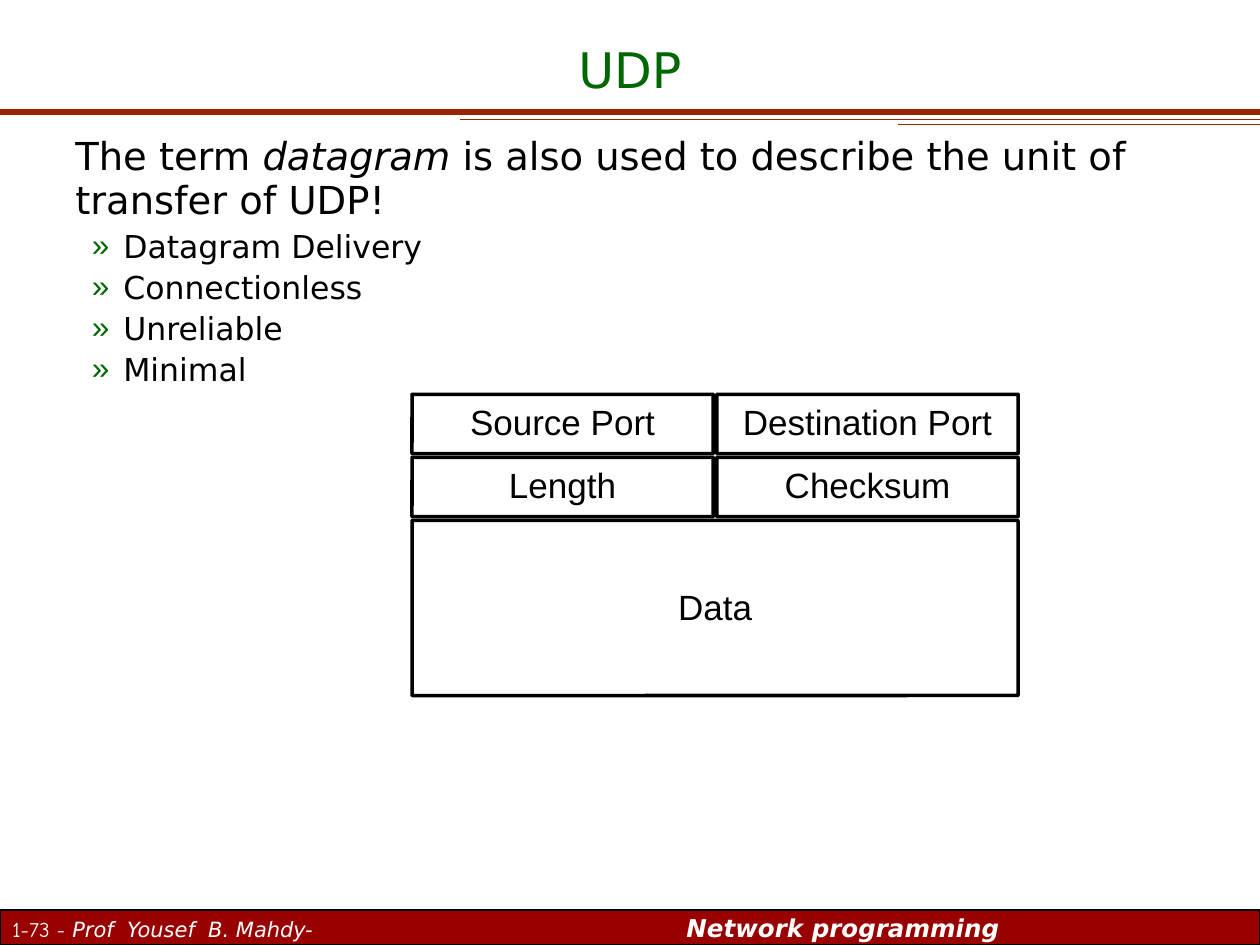
"""Builds a slide on UDP with its datagram layout."""
from lxml import etree
from pptx import Presentation, util as u
from pptx.dml.color import RGBColor
from pptx.enum import shapes, text
from pptx.oxml.ns import qn

WIDTH, HEIGHT = 10, 7.5
SANS = "DejaVu Sans"
TITLE = "UDP"
INTRO = [("The term ", False), ("datagram ", True),
         ("is also used to describe the unit of transfer of UDP!", False)]
TRAITS = ["Datagram Delivery", "Connectionless", "Unreliable", "Minimal"]
RULES = [(0, 0.89, 3), (3.65, 0.95, 0.75), (7.13, 0.99, 0.75)]
FOOTER = [("1-73", dict(name="Comic Neue", size=u.Pt(12))),
          (" - ", dict(name="Comic Neue", size=u.Pt(12), italic=True)),
          ("Prof  Yousef  B. Mahdy-\t", dict(name=SANS, size=u.Pt(12), italic=True)),
          ("Network programming", dict(name=SANS, size=u.Pt(14), italic=True, bold=True))]
FIELDS = [("Source Port", 0, 0, 1), ("Destination Port", 1, 0, 1),
          ("Length", 0, 1, 1), ("Checksum", 1, 1, 1), ("Data", 0, 2, 2)]
GRID_LEFT, GRID_TOP, GAP = 3.27, 3.13, 0.03
CELL_WIDTH, CELL_HEIGHT, DATA_HEIGHT = 2.39, 0.47, 1.39


def color(value):
    return RGBColor.from_string(value)


def add_span(para, words, tint, **formats):
    span = para.add_run()
    span.text = words
    span.font.color.rgb = color(tint)
    for key, value in formats.items():
        setattr(span.font, key, value)


def add_box(page, place, fill=None, line=1, kind=shapes.MSO_SHAPE.RECTANGLE,
            anchor=text.MSO_ANCHOR.MIDDLE):
    area = [u.Inches(value) for value in place]
    if fill:
        box = page.shapes.add_shape(kind, *area)
        box.shadow.inherit = False
        box.fill.solid()
        box.fill.fore_color.rgb = color(fill)
        box.line.color.rgb = color("000000")
        box.line.width = u.Pt(line)
    else:
        box = page.shapes.add_textbox(*area)
    box.text_frame.word_wrap = True
    box.text_frame.vertical_anchor = anchor
    return box


def add_rule(page, left, top, width):
    rule = page.shapes.add_connector(shapes.MSO_CONNECTOR.STRAIGHT, u.Inches(left),
                                     u.Inches(top), u.Inches(WIDTH), u.Inches(top))
    rule.line.color.rgb = color("982400")
    rule.line.width = u.Pt(width)
    etree.SubElement(rule._element.spPr, qn("a:effectLst"))


def set_indent(para, margin, hanging=0):
    props = para._p.get_or_add_pPr()
    props.set("marL", str(u.Inches(margin)))
    props.set("indent", str(-u.Inches(hanging)))
    return props


def add_footer(page):
    bar = add_box(page, (0, 7.22, WIDTH, 0.28), "990000")
    para = bar.text_frame.paragraphs[0]
    para.alignment = text.PP_ALIGN.LEFT
    tabs = etree.SubElement(para._p.get_or_add_pPr(), qn("a:tabLst"))
    etree.SubElement(tabs, qn("a:tab"), pos=str(u.Inches(5.35)), algn="l")
    for words, formats in FOOTER:
        add_span(para, words, "FFFFFF", **formats)


def add_body(page):
    frame = add_box(page, (0.19, 1.02, 9.81, 6.02),
                    anchor=text.MSO_ANCHOR.TOP).text_frame
    para = frame.paragraphs[0]
    para.line_spacing = 0.96
    set_indent(para, 0.31)
    for words, italic in INTRO:
        add_span(para, words, "000000", name=SANS, size=u.Pt(22), italic=italic)
    for trait in TRAITS:
        para = frame.add_paragraph()
        para.level = 1
        para.space_before = u.Pt(1.8)
        props = set_indent(para, 0.69, 0.25)
        tint = etree.SubElement(props, qn("a:buClr"))
        etree.SubElement(tint, qn("a:srgbClr"), val="006600")
        etree.SubElement(props, qn("a:buFont"), typeface="Arial")
        etree.SubElement(props, qn("a:buChar"), char="»")
        add_span(para, trait, "000000", name=SANS, size=u.Pt(18))


def add_field(page, label, column, row, columns):
    place = (GRID_LEFT + column * (CELL_WIDTH + GAP),
             GRID_TOP + row * (CELL_HEIGHT + GAP),
             columns * CELL_WIDTH + (columns - 1) * GAP,
             DATA_HEIGHT if columns > 1 else CELL_HEIGHT)
    cell = add_box(page, place, "FFFFFF", 2, shapes.MSO_SHAPE.ROUNDED_RECTANGLE)
    cell.adjustments[0] = 0.004
    para = cell.text_frame.paragraphs[0]
    para.alignment = text.PP_ALIGN.CENTER
    para.line_spacing = 0.96
    add_span(para, label, "000000", name="Arial", size=u.Pt(20))


def main():
    deck = Presentation()
    deck.slide_width, deck.slide_height = u.Inches(WIDTH), u.Inches(HEIGHT)
    page = deck.slides.add_slide(deck.slide_layouts[6])
    for rule in RULES:
        add_rule(page, *rule)
    add_footer(page)
    title = add_box(page, (0, 0.25, WIDTH, 0.58), anchor=text.MSO_ANCHOR.BOTTOM)
    para = title.text_frame.paragraphs[0]
    para.alignment = text.PP_ALIGN.CENTER
    add_span(para, TITLE, "006600", name=SANS, size=u.Pt(28))
    add_body(page)
    for field in FIELDS:
        add_field(page, *field)
    deck.save("out.pptx")


if __name__ == "__main__":
    main()
